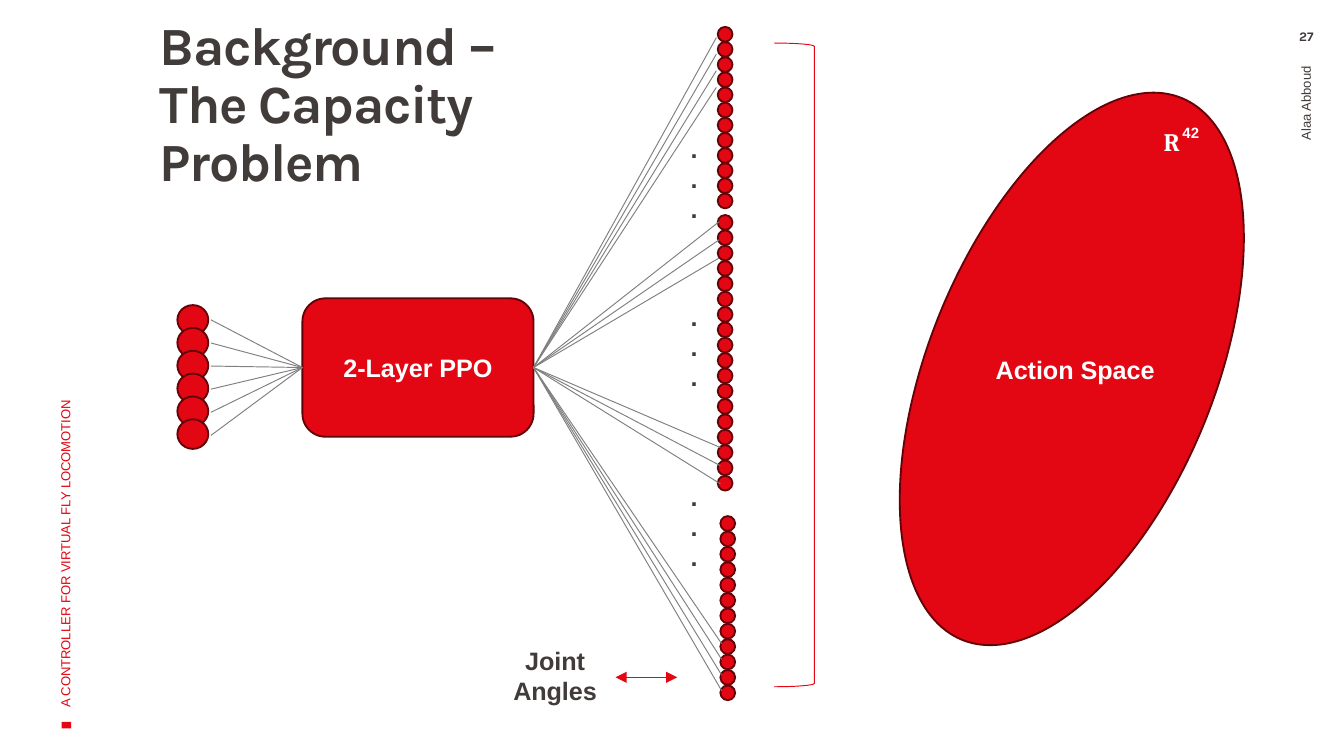
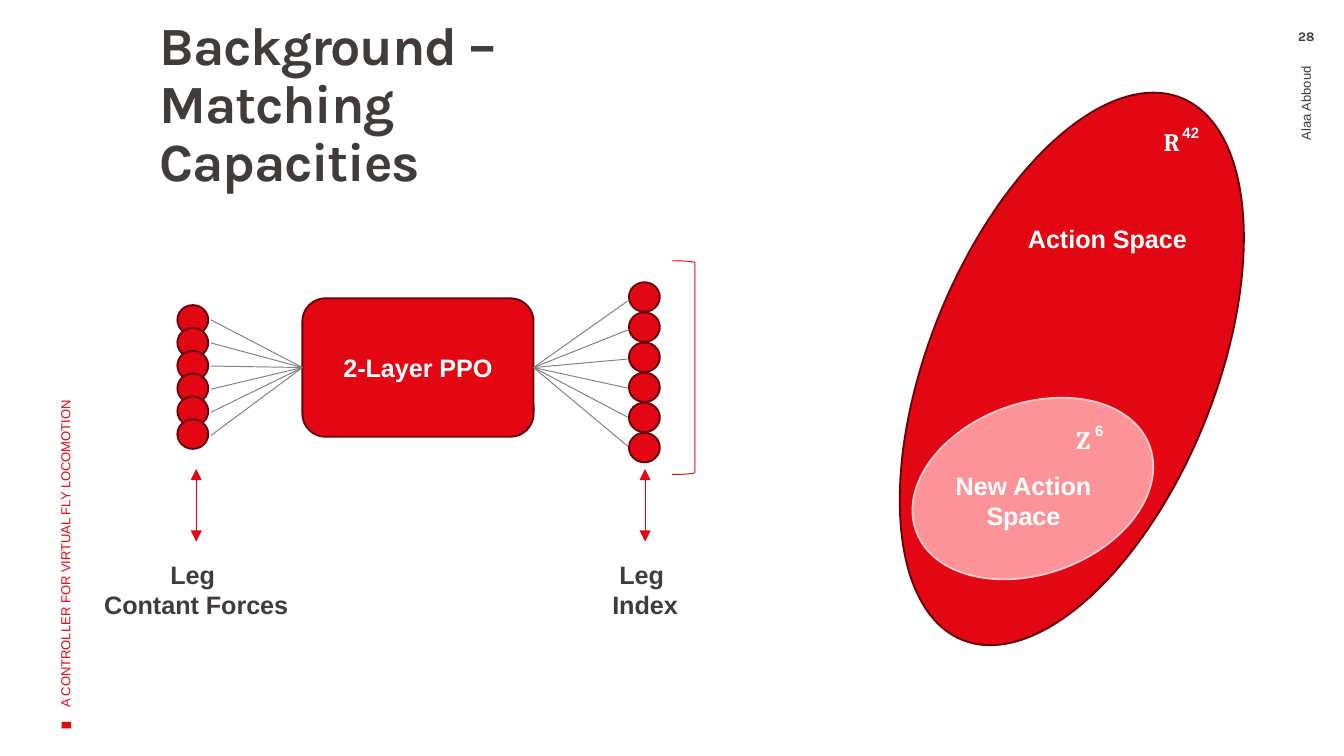
from collections import namedtuple
from lxml.etree import SubElement
from pptx import Presentation
from pptx.dml.color import RGBColor
from pptx.enum.shapes import MSO_CONNECTOR, MSO_SHAPE
from pptx.enum.text import MSO_ANCHOR, PP_ALIGN
from pptx.oxml.ns import qn
from pptx.util import Inches, Pt

COLORS = {
    "red": "E30613",
    "dark_red": "630308",
    "pink": "FC9399",
    "pale_pink": "FEC9CC",
    "ink": "413C3A",
    "gray": "808080",
    "white": "FFFFFF",
}
PAGE_WIDTH = 10
PAGE_HEIGHT = PAGE_WIDTH * 9 / 16
LEFT, RIGHT = 1, 3

Box = namedtuple("Box", "left top width height")


def color(name):
    """Return the named colour."""
    return RGBColor.from_string(COLORS[name])


def lengths(*values):
    """Turn inches into lengths."""
    return [Inches(value) for value in values]


def inside(box, left, top, width, height):
    """Return a box offset from the corner of another one."""
    return Box(box.left + left, box.top + top, width, height)


def spread(first, last, count):
    """Return evenly spaced values from first to last."""
    step = (last - first) / (count - 1)
    return [first + step * index for index in range(count)]


def write(frame, text, size=13.5, font="Arial", fill="ink", bold=True, align=PP_ALIGN.LEFT,
          anchor=MSO_ANCHOR.TOP, wrap=False, insets=(0.1, 0.05, 0.1, 0.05),
          line_spacing=None, tracking=None):
    """Fill a text frame, one paragraph per line."""
    frame.word_wrap = wrap
    frame.vertical_anchor = anchor
    (frame.margin_left, frame.margin_top,
     frame.margin_right, frame.margin_bottom) = lengths(*insets)
    for index, line in enumerate(text.split("\n")):
        paragraph = frame.add_paragraph() if index else frame.paragraphs[0]
        paragraph.text = line
        paragraph.alignment = align
        if line_spacing:
            paragraph.line_spacing = line_spacing
        for run in paragraph.runs:
            run.font.name = font
            run.font.size = Pt(size)
            run.font.bold = bold
            run.font.color.rgb = color(fill)
            if tracking:
                run.font._element.set("spc", str(round(tracking * 100)))


def add_text(slide, box, text, rotation=0, **text_format):
    """Add a text box."""
    shape = slide.shapes.add_textbox(*lengths(*box))
    shape.rotation = rotation
    write(shape.text_frame, text, **text_format)


def add_shape(slide, kind, box, fill="red", line="dark_red", line_width=1, rotation=0):
    """Add a flat preset shape."""
    shape = slide.shapes.add_shape(kind, *lengths(*box))
    shape.shadow.inherit = False
    shape.rotation = rotation
    if fill:
        shape.fill.solid()
        shape.fill.fore_color.rgb = color(fill)
    else:
        shape.fill.background()
    if line:
        shape.line.color.rgb = color(line)
        shape.line.width = Pt(line_width)
    else:
        shape.line.fill.background()
    return shape


def add_line(slide, start, end, line="gray", arrows=False):
    """Add a thin straight connector, with arrowheads at both ends if asked."""
    connector = slide.shapes.add_connector(MSO_CONNECTOR.STRAIGHT, *lengths(*start, *end))
    connector.line.color.rgb = color(line)
    connector.line.width = Pt(0.5)
    if arrows:
        outline = connector.line._get_or_add_ln()
        for tag in ("a:headEnd", "a:tailEnd"):
            SubElement(outline, qn(tag), type="triangle")
    SubElement(connector._element.spPr, qn("a:effectLst"))
    return connector


def add_bracket(slide, box):
    """Add a right bracket."""
    add_shape(slide, MSO_SHAPE.RIGHT_BRACKET, box, fill=None, line="red", line_width=0.5)


def page_frame(slide, box, title, number):
    """Add the title, side texts and page number."""
    add_shape(slide, MSO_SHAPE.RECTANGLE, inside(box, 0.47, 5.36, 0.05, 0.07),
              line=None, rotation=270)
    add_text(slide, inside(box, 0.99, 0.14, 4.01, 0.48), title, size=28.8, font="Karla",
             wrap=True, insets=(0.2, 0, 0.08, 0.05), line_spacing=0.9, tracking=-0.7)
    side_format = dict(rotation=270, size=7, bold=False, wrap=True, anchor=MSO_ANCHOR.MIDDLE)
    add_text(slide, inside(box, -1.34, 3.04, 3.65, 1),
             "A CONTROLLER FOR VIRTUAL FLY LOCOMOTION", fill="red", **side_format)
    add_text(slide, inside(box, 7.78, 2.05, 3.87, 0.56), "Alaa Abboud",
             align=PP_ALIGN.RIGHT, **side_format)
    add_text(slide, inside(box, 9.44, 0.21, 0.56, 0.18), str(number), size=7, font="Karla",
             align=PP_ALIGN.CENTER, wrap=True, insets=(0.1, 0, 0.1, 0))


def neuron_column(slide, box, count, height):
    """Stack neurons evenly over the height of the box."""
    for top in spread(box.top, box.top + box.height - height, count):
        add_shape(slide, MSO_SHAPE.OVAL, Box(box.left, top, box.width, height))


def fan(slide, policy, site, x, heights):
    """Join one side of the policy block to points at the given heights."""
    for y in heights:
        connector = add_line(slide, (x, y), (x, y))
        connector.end_connect(policy, site)


def policy_network(slide, box):
    """Add the input neurons and the policy block, and return the block."""
    neuron_column(slide, inside(box, 0, 0.05, 0.23, 1.07), 6, 0.22)
    policy = add_shape(slide, MSO_SHAPE.ROUNDED_RECTANGLE,
                       inside(box, 0.93, 0, box.width - 0.93, box.height))
    write(policy.text_frame, "2-Layer PPO", fill="white", align=PP_ALIGN.CENTER,
          anchor=MSO_ANCHOR.MIDDLE, wrap=True)
    fan(slide, policy, LEFT, box.left + 0.25, spread(box.top + 0.16, box.top + 1.02, 6))
    return policy


def joint_outputs(slide, box, policy):
    """Add the 42 joint outputs with their links, dots, bracket and caption."""
    for left, top, height, count in ((0.3, 0, 1.35, 12), (0.3, 1.4, 2.05, 18),
                                     (0.32, 3.64, 1.37, 12)):
        neuron_column(slide, inside(box, left, top, 0.11, height), count, 0.11)
    for x, first, last, count in ((0.29, 0.08, 0.45, 4), (0.31, 1.45, 1.72, 3),
                                  (0.32, 3.13, 3.4, 3), (0.33, 4.59, 4.94, 4)):
        fan(slide, policy, RIGHT, box.left + x,
            spread(box.top + first, box.top + last, count))
    for top in (0.74, 1.99, 3.33):
        add_text(slide, inside(box, 0, top, 0.21, 0.78), ".\n.\n.")
    add_bracket(slide, inside(box, 0.72, 0.12, 0.3, 4.79))
    add_text(slide, inside(box, -1.35, 4.55, 0.88, 0.56), "Joint\nAngles", align=PP_ALIGN.CENTER)
    y = box.top + 4.84
    add_line(slide, (box.left, y), (box.left - 0.46, y), line="red", arrows=True)


def leg_outputs(slide, box, policy):
    """Add the six leg outputs with their links and bracket."""
    neuron_column(slide, inside(box, 0, 0.16, 0.23, 1.34), 6, 0.22)
    fan(slide, policy, RIGHT, box.left - 0.01, spread(box.top + 0.3, box.top + 1.38, 6))
    add_bracket(slide, inside(box, 0.32, 0, 0.17, box.height))


def arrow_caption(slide, box, text):
    """Add a caption under a vertical double arrow."""
    x = box.left + box.width / 2
    add_line(slide, (x, box.top), (x, box.top + 0.54), line="red", arrows=True)
    add_text(slide, inside(box, 0, 0.62, box.width, 0.56), text, align=PP_ALIGN.CENTER)


def space_set(slide, box, rotation, symbol, exponent, symbol_at, label, label_at,
              fill="red", line="dark_red", **label_format):
    """Add a tilted ellipse with a label and a symbol with its exponent."""
    add_shape(slide, MSO_SHAPE.OVAL, box, fill=fill, line=line, rotation=rotation)
    symbol_box = inside(box, *symbol_at, 0.28, 0.34)
    add_text(slide, symbol_box, symbol, font="Cambria", fill="white")
    add_text(slide, inside(symbol_box, 0.14, -0.02, 0.34, 0.24), exponent, size=8, fill="white")
    add_text(slide, inside(box, *label_at, 1.39, 0.33), label, fill="white", **label_format)


def action_space(slide, box, label_at):
    """Add the full action space."""
    space_set(slide, box, 22, "R", "42", (1.65, 0.32), "Action Space", label_at)


def capacity_problem(slide, page):
    """Build the slide on the capacity problem."""
    page_frame(slide, page, "Background – \vThe Capacity Problem", 27)
    policy = policy_network(slide, inside(page, 1.32, 2.22, 2.65, 1.03))
    joint_outputs(slide, inside(page, 5.04, 0.2, 1.02, 5.01), policy)
    action_space(slide, inside(page, 6.91, 0.57, 2.13, 4.35), (0.4, 2.02))


def matching_capacities(slide, page):
    """Build the slide on matching capacities."""
    page_frame(slide, page, "Background – \vMatching Capacities", 28)
    policy = policy_network(slide, inside(page, 1.32, 2.22, 2.65, 1.03))
    leg_outputs(slide, inside(page, 4.68, 1.94, 0.49, 1.59), policy)
    arrow_caption(slide, inside(page, 0.67, 3.49, 1.58, 1.18), "Leg \nContant Forces")
    arrow_caption(slide, inside(page, 4.43, 3.49, 0.74, 1.18), "Leg \nIndex")
    action_space(slide, inside(page, 6.91, 0.57, 2.13, 4.35), (0.64, 1.04))
    space_set(slide, inside(page, 6.76, 3, 1.85, 1.27), 340, "Z", "6", (1.15, 0.11),
              "New Action Space", (0.16, 0.45), fill="pink", line="pale_pink",
              align=PP_ALIGN.CENTER, wrap=True)


def main():
    """Build and save the presentation."""
    presentation = Presentation()
    presentation.slide_width, presentation.slide_height = lengths(PAGE_WIDTH, PAGE_HEIGHT)
    page = Box(0, 0, PAGE_WIDTH, PAGE_HEIGHT)
    for build in (capacity_problem, matching_capacities):
        build(presentation.slides.add_slide(presentation.slide_layouts[6]), page)
    presentation.save("out.pptx")


if __name__ == "__main__":
    main()
